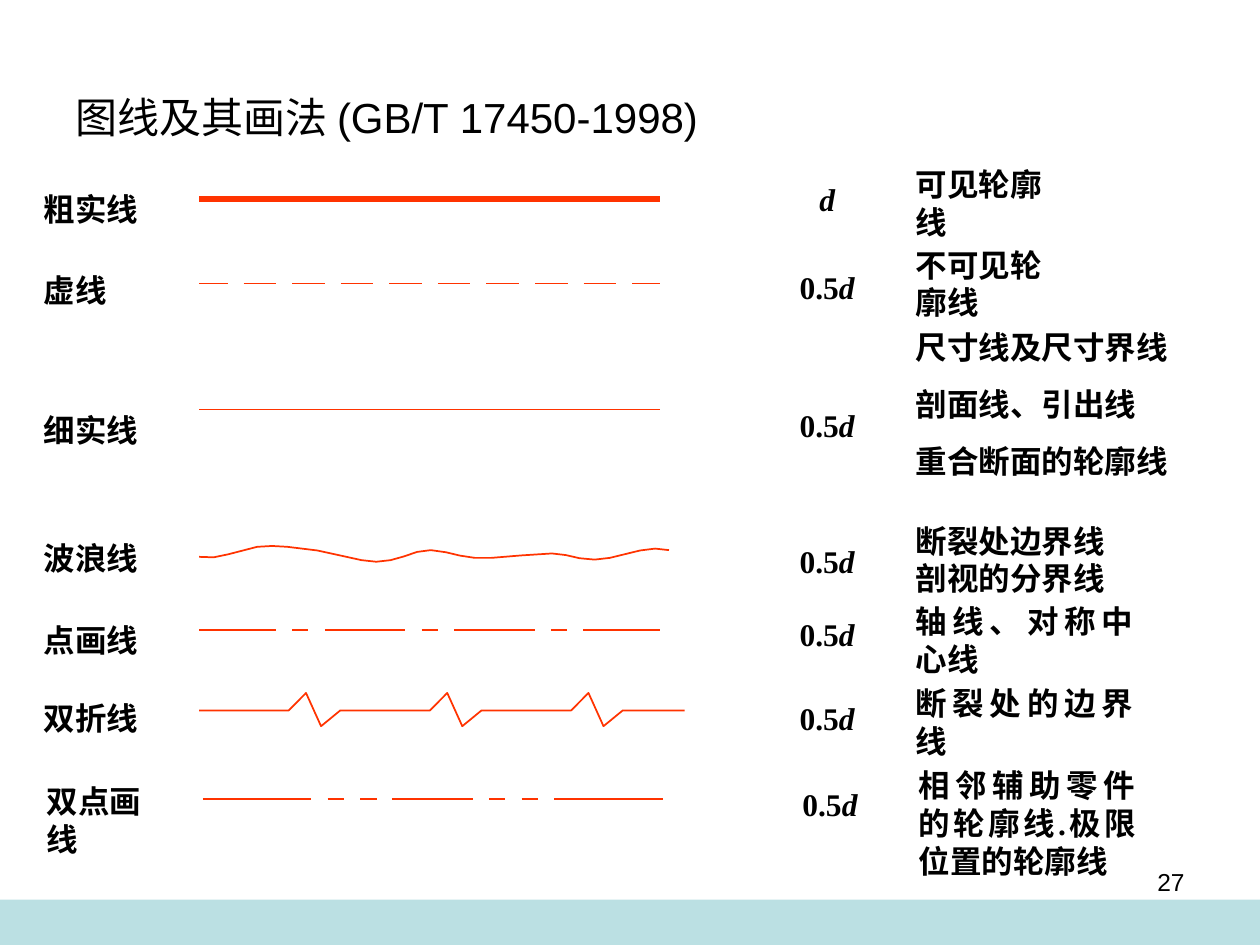
from dataclasses import dataclass

from lxml import etree
from pptx import Presentation
from pptx.dml.color import RGBColor
from pptx.enum import shapes, text
from pptx.oxml import ns
from pptx.util import Pt

BLACK = RGBColor(0x00, 0x00, 0x00)
RED = RGBColor(0xFF, 0x33, 0x00)
PALE_TEAL = RGBColor(0xBB, 0xE0, 0xE3)
CJK_FONT = "Noto Sans CJK SC"
SERIF_FONT = "Times New Roman"
SANS_FONT = "Arial"

NAME_LEFT, NAME_WIDTH = 18, 77.8
THICKNESS_LEFT, THICKNESS_WIDTH = 448.6, 48.2
USAGE_LEFT = 516.2
LINE_START, LINE_END = 113.8, 377.3
LABEL_HEIGHT = 29

Span = tuple[float, float]
Point = tuple[float, float]


@dataclass(frozen=True)
class LineType:
    name: str
    name_top: float
    factor: str
    thickness_top: float
    usages: tuple[str, ...]
    usage_top: float
    usage_width: float
    usage_height: float = 50.4
    usage_font: str = CJK_FONT
    usage_align: text.PP_ALIGN = text.PP_ALIGN.LEFT
    shift: float = 0


@dataclass(frozen=True)
class Strokes:
    """Straight pieces of one sample line, all at the same height."""
    y: float
    spans: list[Span]
    weight: float = 1


LINE_TYPES = [
    LineType("粗实线", 105.1, "", 99.4, ("可见轮廓线",), 90.7, 102.2),
    LineType("虚线", 151.2, "0.5", 149.8, ("不可见轮廓线",), 136.8, 102.2),
    LineType("细实线", 231.1, "0.5", 228.2,
             ("尺寸线及尺寸界线", "剖面线、引出线", "重合断面的轮廓线"),
             183.6, 180, 95),
    LineType("波浪线", 304.6, "0.5", 306, ("断裂处边界线剖视的分界线",), 294.5, 138.2),
    LineType("点画线", 351.4, "0.5", 347.8, ("轴线、对称中心线",), 340.6, 138.2,
             usage_font=SERIF_FONT, usage_align=text.PP_ALIGN.JUSTIFY),
    LineType("双折线", 396, "0.5", 396, ("断裂处的边界线",), 387.4, 138.2,
             usage_align=text.PP_ALIGN.JUSTIFY),
    LineType("双点画线", 443.5, "0.5", 445, ("相邻辅助零件的轮廓线.极限位置的轮廓线",),
             434.2, 138.2, 72, SERIF_FONT, text.PP_ALIGN.JUSTIFY, 1.6),
]


def dashes(first: float, pitch: float, length: float, count: int) -> list[Span]:
    """Evenly spaced dashes, trimmed to the ends of the sample line."""
    starts = [first + pitch * index for index in range(count)]
    return [(max(start, LINE_START), min(start + length, LINE_END)) for start in starts]


SAMPLES = [
    Strokes(113.8, [(LINE_START, LINE_END)], 3),
    Strokes(162, dashes(111.5, 27.75, 18.6, 10)),
    Strokes(234, [(LINE_START, LINE_END)]),
    Strokes(360, dashes(111.9, 73.8, 46, 4) + dashes(167, 73.9, 9.2, 3)),
    Strokes(456.5, [(115.9, 177.8), (187.2, 196.5), (205.9, 215.2), (224, 270.5),
                    (279.5, 288.8), (298.1, 307.4), (316.8, 378.7)]),
]

WAVE = [
    (113.8, 318.2), (122.1, 318.5), (130.3, 316.8), (147, 312.5), (155.5, 312),
    (164.2, 312.5), (181.4, 314.6), (198, 318.2), (206.6, 320.1), (215, 321),
    (223.2, 320.1), (231.1, 317.9), (238.3, 315.4), (246.2, 314.4), (254.9, 315.6),
    (262.8, 317.5), (271.4, 318.8), (280.8, 318.8), (298.1, 317.4), (315.4, 316.3),
    (323.3, 317.2), (331.2, 319), (339.8, 319.8), (348.5, 318.8), (365.8, 314.6),
    (374.4, 313.5), (382.3, 314.4),
]

ZIGZAG_Y = 406
ZIGZAG = [
    (LINE_START, ZIGZAG_Y),
    *[(165 + 80.7 * index + dx, ZIGZAG_Y + dy)
      for index in range(3)
      for dx, dy in ((0, 0), (9.9, -10), (18.5, 9), (29.5, 0))],
    (391.2, ZIGZAG_Y),
]


def set_font(paragraph, name: str, size: float, bold: bool = False) -> None:
    font = paragraph.font
    font.size, font.bold = Pt(size), bold
    font.color.rgb = BLACK
    font.name = name
    etree.SubElement(font._rPr, ns.qn("a:ea"), typeface=CJK_FONT)


def add_text_box(slide, left: float, top: float, width: float, height: float,
                 lines: tuple[str, ...], font: str = CJK_FONT,
                 align: text.PP_ALIGN = text.PP_ALIGN.LEFT,
                 size: float = 18, bold: bool = True):
    box = slide.shapes.add_textbox(Pt(left), Pt(top), Pt(width), Pt(height))
    frame = box.text_frame
    frame.word_wrap = True
    frame.text = "\n".join(lines)
    for index, paragraph in enumerate(frame.paragraphs):
        paragraph.alignment = align
        if index:
            paragraph.space_before = Pt(11.2)
        set_font(paragraph, font, size, bold)
    return box


def add_line_type(slide, row: LineType) -> None:
    name_height = LABEL_HEIGHT if len(row.name) < 4 else 50.4
    add_text_box(slide, NAME_LEFT + row.shift, row.name_top, NAME_WIDTH, name_height,
                 (row.name,))
    thickness = add_text_box(slide, THICKNESS_LEFT + row.shift, row.thickness_top,
                             THICKNESS_WIDTH, LABEL_HEIGHT, (row.factor,),
                             SERIF_FONT, text.PP_ALIGN.CENTER)
    symbol = thickness.text_frame.paragraphs[0].add_run()
    symbol.text = "d"
    symbol.font.italic = True
    add_text_box(slide, USAGE_LEFT + row.shift, row.usage_top, row.usage_width,
                 row.usage_height, row.usages, row.usage_font, row.usage_align)


def add_strokes(slide, strokes: Strokes) -> None:
    for start, end in strokes.spans:
        connector = slide.shapes.add_connector(
            shapes.MSO_CONNECTOR.STRAIGHT,
            Pt(start), Pt(strokes.y), Pt(end), Pt(strokes.y))
        connector.line.color.rgb = RED
        connector.line.width = Pt(strokes.weight)
        etree.SubElement(connector._element.spPr, ns.qn("a:effectLst"))


def add_polyline(slide, points: list[Point]) -> None:
    (start_x, start_y), *others = [(Pt(x), Pt(y)) for x, y in points]
    builder = slide.shapes.build_freeform(start_x, start_y)
    builder.add_line_segments(others, close=False)
    shape = builder.convert_to_shape()
    shape.shadow.inherit = False
    shape.fill.background()
    shape.line.color.rgb = RED
    shape.line.width = Pt(1)


def add_title(slide) -> None:
    title = slide.shapes.title
    title.left, title.top, title.width, title.height = Pt(36), Pt(21.6), Pt(648), Pt(90)
    title.text_frame.text = "图线及其画法 (GB/T 17450-1998)"
    title.text_frame.vertical_anchor = text.MSO_ANCHOR.MIDDLE
    paragraph = title.text_frame.paragraphs[0]
    paragraph.alignment = text.PP_ALIGN.LEFT
    set_font(paragraph, SANS_FONT, 24)


def add_footer_band(slide) -> None:
    band = slide.shapes.add_shape(shapes.MSO_SHAPE.RECTANGLE,
                                  Pt(0), Pt(514), Pt(720), Pt(26))
    band.shadow.inherit = False
    band.fill.solid()
    band.fill.fore_color.rgb = PALE_TEAL
    band.line.fill.background()


def main() -> None:
    presentation = Presentation()
    presentation.slide_width, presentation.slide_height = Pt(720), Pt(540)
    slide = presentation.slides.add_slide(presentation.slide_layouts[5])
    add_footer_band(slide)
    add_title(slide)
    for row in LINE_TYPES:
        add_line_type(slide, row)
    for strokes in SAMPLES:
        add_strokes(slide, strokes)
    for points in (WAVE, ZIGZAG):
        add_polyline(slide, points)
    add_text_box(slide, 516.2, 491.8, 167.8, 37.4, ("27",), SANS_FONT,
                 text.PP_ALIGN.RIGHT, 14, False)
    presentation.save("out.pptx")


if __name__ == "__main__":
    main()
